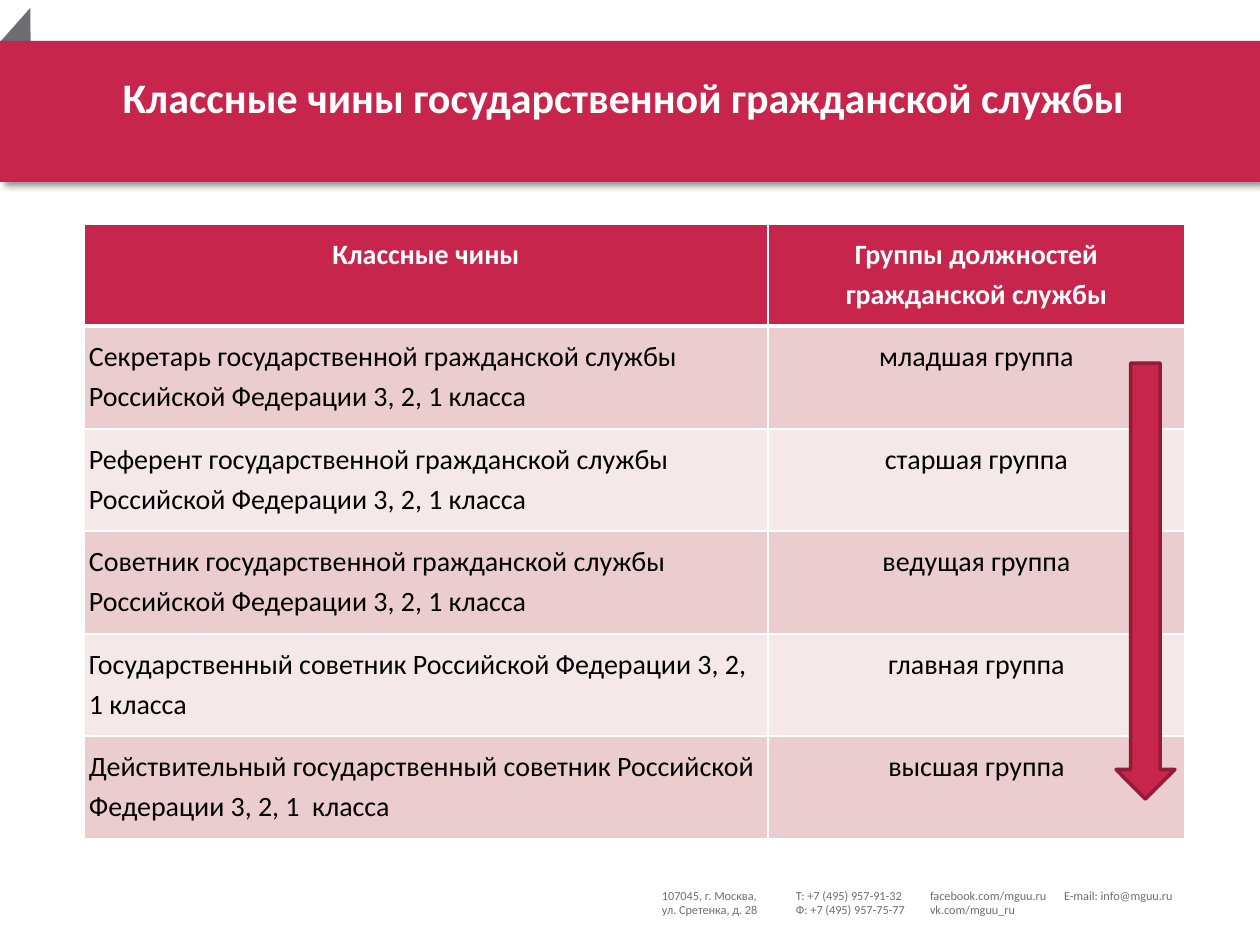
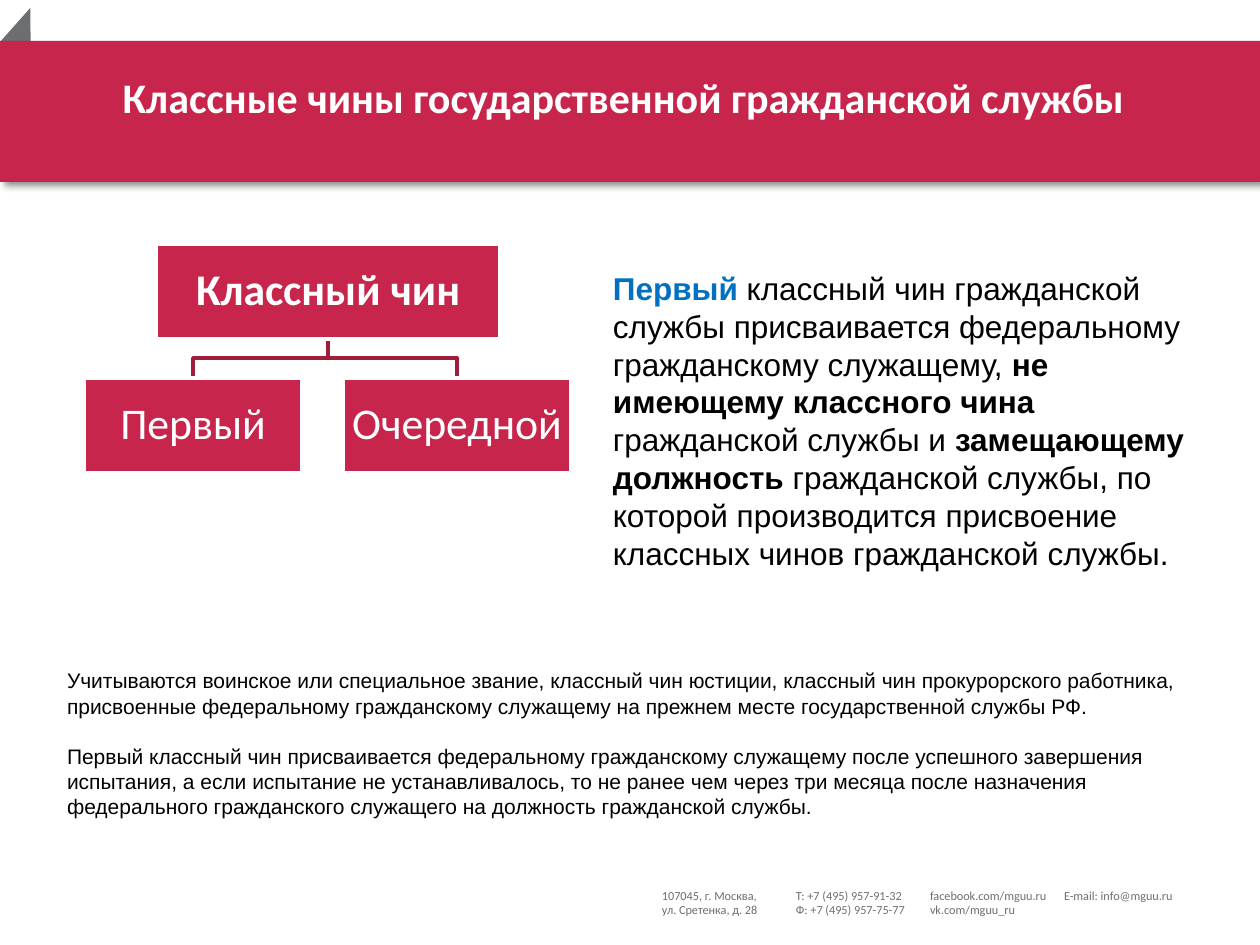
from lxml import etree
from pptx import Presentation
from pptx import util as u
from pptx.dml.color import RGBColor
from pptx.enum import shapes, text
from pptx.oxml import parse_xml
from pptx.oxml.ns import nsdecls, qn

SCALE = 914400 / 126  # EMU per px
COLORS = {
    "crimson": "C7254B", "arrow edge": "931B37", "branch": "9F1E3C",
    "gray": "6D6E71", "blue": "0070C0", "black": "000000", "white": "FFFFFF",
    "row dark": "EBCDD0", "row light": "F5E8E9",
}
FONTS = {
    "title": {"name": "Calibri", "size": u.Pt(24), "bold": True},
    "footer": {"name": "Calibri", "size": u.Pt(7)},
    "header": {"name": "Calibri", "size": u.Pt(16), "bold": True},
    "cell": {"name": "Calibri", "size": u.Pt(16), "bold": False},
    "node": {"name": "Calibri", "size": u.Pt(25), "bold": False},
    "root node": {"name": "Calibri", "size": u.Pt(25), "bold": True},
    "lead": {"name": "Arial", "size": u.Pt(18)},
    "note": {"name": "Arial", "size": u.Pt(12)},
}
MARGINS = ("margin_left", "margin_top", "margin_right", "margin_bottom")
CENTER = {"alignment": text.PP_ALIGN.CENTER}

TITLE = "Классные чины государственной гражданской службы"
CONTACTS = [
    ["107045, г. Москва,", "ул. Сретенка, д. 28"],
    ["Т: +7 (495) 957-91-32", "Ф: +7 (495) 957-75-77"],
    ["facebook.com/mguu.ru", "vk.com/mguu_ru"],
    ["E-mail: info@mguu.ru"],
]
RANKS = [
    ("Классные чины", "Группы должностей гражданской службы"),
    ("Секретарь государственной гражданской службы Российской Федерации 3, 2, 1 класса",
     "младшая группа"),
    ("Референт государственной гражданской службы Российской Федерации 3, 2, 1 класса",
     "старшая группа"),
    ("Советник государственной гражданской службы Российской Федерации 3, 2, 1 класса",
     "ведущая группа"),
    ("Государственный советник Российской Федерации 3, 2, 1 класса", "главная группа"),
    ("Действительный государственный советник Российской Федерации 3, 2, 1  класса",
     "высшая группа"),
]
FIRST_RANK = [
    ("Первый", "blue", True),
    (" классный чин гражданской службы присваивается федеральному гражданскому служащему, ",
     "black", False),
    ("не имеющему классного чина ", "black", True),
    ("гражданской службы и ", "black", False),
    ("замещающему должность ", "black", True),
    ("гражданской службы, по которой производится присвоение классных чинов "
     "гражданской службы.", "black", False),
]
NOTES = [
    "Учитываются воинское или специальное звание, классный чин юстиции, классный чин "
    "прокурорского работника, присвоенные федеральному гражданскому служащему на прежнем "
    "месте государственной службы РФ.",
    "Первый классный чин присваивается федеральному гражданскому служащему после успешного "
    "завершения испытания, а если испытание не устанавливалось, то не ранее чем через три "
    "месяца после назначения федерального гражданского служащего на должность гражданской "
    "службы.",
]


def px(length):
    return round(length * SCALE)


def rgb(name):
    return RGBColor.from_string(COLORS[name])


def set_all(target, values):
    for key, value in values.items():
        setattr(target, key, value)


class Deck:
    def __init__(self):
        self.prs = Presentation()
        set_all(self.prs, {"slide_width": px(1260), "slide_height": px(945)})
        self.slide = None

    def new_slide(self):
        """Start a slide with the shared band, title and contacts."""
        self.slide = self.prs.slides.add_slide(self.prs.slide_layouts[6])
        corner = self.shape(shapes.MSO_SHAPE.RIGHT_TRIANGLE, (9, 16, 43, 48), "gray")
        corner.rotation = 41.6
        band = self.shape(shapes.MSO_SHAPE.RECTANGLE, (0, 41, 1260, 141), "crimson")
        self.drop_shadow(band)
        self.textbox((25, 72, 1197, 58), [TITLE], "title", "white", CENTER)
        for column, lines in enumerate(CONTACTS):
            self.textbox((662 + 134 * column, 888, 132, 32), lines, "footer", "gray")

    def fill_text(self, frame, paragraphs, font, color, layout=None):
        """Fill a frame; a paragraph is a string or a list of (text, color, bold)."""
        frame.word_wrap = True
        for index, content in enumerate(paragraphs):
            para = frame.paragraphs[0] if index == 0 else frame.add_paragraph()
            format_values = dict(layout or {})
            if index == 0:
                format_values.pop("space_before", None)
            set_all(para, format_values)
            runs = [(content, color, None)] if isinstance(content, str) else content
            for words, run_color, bold in runs:
                run = para.add_run()
                run.text = words
                set_all(run.font, FONTS[font])
                run.font.color.rgb = rgb(run_color)
                if bold is not None:
                    run.font.bold = bold

    def textbox(self, box, paragraphs, font, color, layout=None):
        frame = self.slide.shapes.add_textbox(*map(px, box)).text_frame
        set_all(frame, dict.fromkeys(MARGINS, 0))
        self.fill_text(frame, paragraphs, font, color, layout)

    def outline(self, shape, color, width=2):
        shape.line.color.rgb = rgb(color)
        shape.line.width = u.Pt(width)

    def shape(self, kind, box, fill, line=None):
        shape = self.slide.shapes.add_shape(kind, *map(px, box))
        shape.shadow.inherit = False
        shape.fill.solid()
        shape.fill.fore_color.rgb = rgb(fill)
        if line:
            self.outline(shape, line)
        else:
            shape.line.fill.background()
        return shape

    def drop_shadow(self, shape):
        effects = shape._element.spPr.find(qn("a:effectLst"))
        effects.append(parse_xml(
            f'<a:outerShdw {nsdecls("a")} blurRad="{u.Pt(4)}" dist="{u.Pt(3)}" '
            f'dir="2700000" rotWithShape="0"><a:srgbClr val="{COLORS["black"]}">'
            '<a:alpha val="40000"/></a:srgbClr></a:outerShdw>'))

    def node(self, box, label, font="node"):
        frame = self.shape(shapes.MSO_SHAPE.RECTANGLE, box, "crimson", "white").text_frame
        set_all(frame, dict.fromkeys(MARGINS, px(2)))
        frame.vertical_anchor = text.MSO_ANCHOR.MIDDLE
        self.fill_text(frame, [label], font, "white", {**CENTER, "line_spacing": 0.9})

    def branch(self, points):
        builder = self.slide.shapes.build_freeform(*points[0], scale=SCALE)
        builder.add_line_segments(points[1:], close=False)
        line = builder.convert_to_shape()
        line.shadow.inherit = False
        line.fill.background()
        self.outline(line, "branch")

    def cell_borders(self, cell, bottom):
        props = cell._tc.get_or_add_tcPr()
        for index, side in enumerate(("lnL", "lnR", "lnT", "lnB")):
            width = bottom if side == "lnB" else 1
            border = etree.Element(qn(f"a:{side}"), w=str(u.Pt(width)))
            fill = etree.SubElement(border, qn("a:solidFill"))
            etree.SubElement(fill, qn("a:srgbClr"), val=COLORS["white"])
            props.insert(index, border)

    def table(self, box, rows, widths, heights):
        table = self.slide.shapes.add_table(len(rows), len(widths), *map(px, box)).table
        for column, width in zip(table.columns, widths):
            column.width = px(width)
        for r, row in enumerate(rows):
            table.rows[r].height = px(heights[r])
            header = r == 0
            fill = "crimson" if header else ("row light", "row dark")[r % 2]
            for c, words in enumerate(row):
                cell = table.cell(r, c)
                set_all(cell, dict(zip(MARGINS, map(px, (5, 9, 5, 9)))))
                cell.fill.solid()
                cell.fill.fore_color.rgb = rgb(fill)
                layout = {"line_spacing": 1.15, **(CENTER if header or c else {})}
                self.fill_text(cell.text_frame, [words], "header" if header else "cell",
                               "white" if header else "black", layout)
                self.cell_borders(cell, 3 if header else 1)


def ranks_slide(deck):
    deck.new_slide()
    deck.table((84, 224, 1101, 615), RANKS, (684, 417), (102, 103) * 3)
    # Seniority grows downwards
    deck.shape(shapes.MSO_SHAPE.DOWN_ARROW, (1116, 363, 59, 436), "crimson", "arrow edge")


def first_rank_slide(deck):
    deck.new_slide()
    # Explanation
    deck.textbox((613, 269, 590, 310), [FIRST_RANK], "lead", "black",
                 {"line_spacing": u.Pt(21.6)})
    # Tree of rank kinds
    root = (156, 244, 344, 95)
    kinds = {"Первый": (84, 378, 218, 95), "Очередной": (343, 378, 228, 95)}
    stem, root_bottom = root[0] + root[2] // 2, root[1] + root[3]
    for left, top, width, _ in kinds.values():
        middle, center = (root_bottom + top) // 2, left + width // 2
        deck.branch([(stem, root_bottom), (stem, middle), (center, middle), (center, top)])
    deck.node(root, "Классный чин", "root node")
    for label, box in kinds.items():
        deck.node(box, label)
    # Notes
    deck.textbox((67, 668, 1125, 152), NOTES, "note", "black",
                 {"line_spacing": u.Pt(14.4), "space_before": u.Pt(14.4)})


def main():
    deck = Deck()
    ranks_slide(deck)
    first_rank_slide(deck)
    deck.prs.save("out.pptx")


if __name__ == "__main__":
    main()
